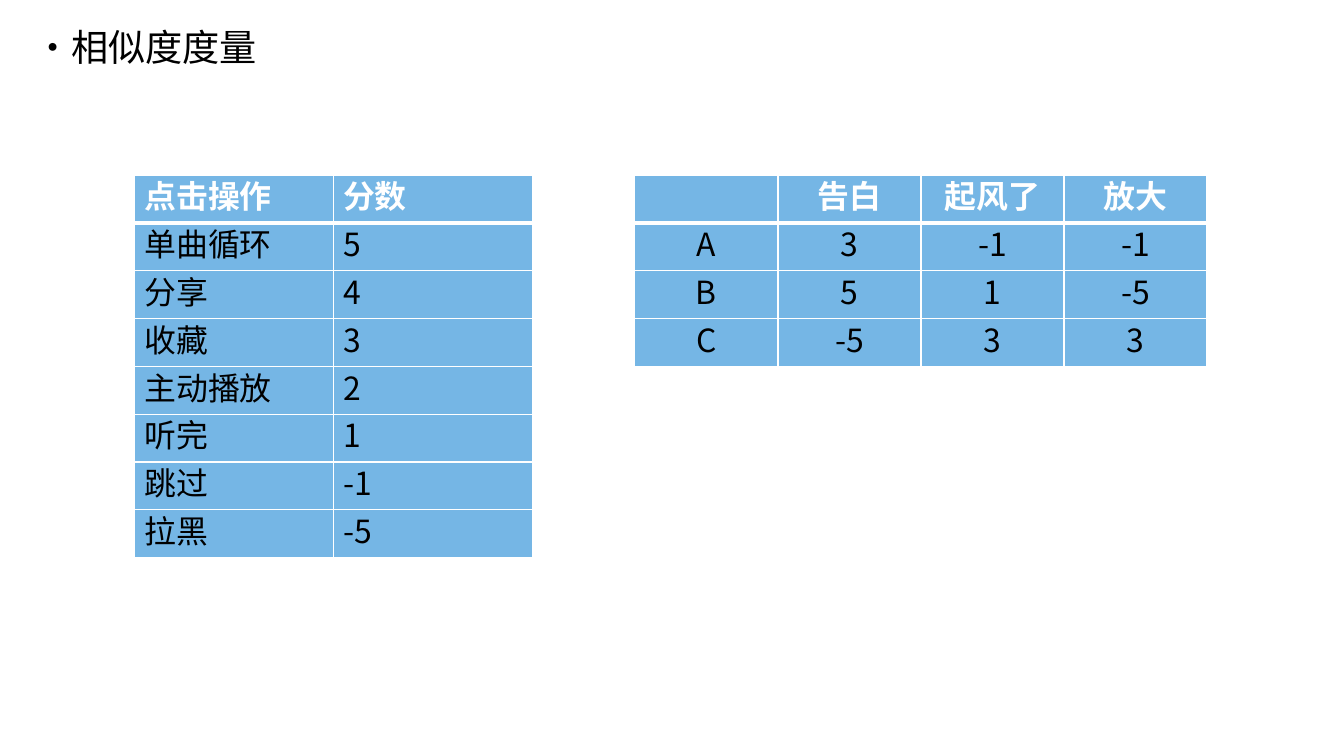
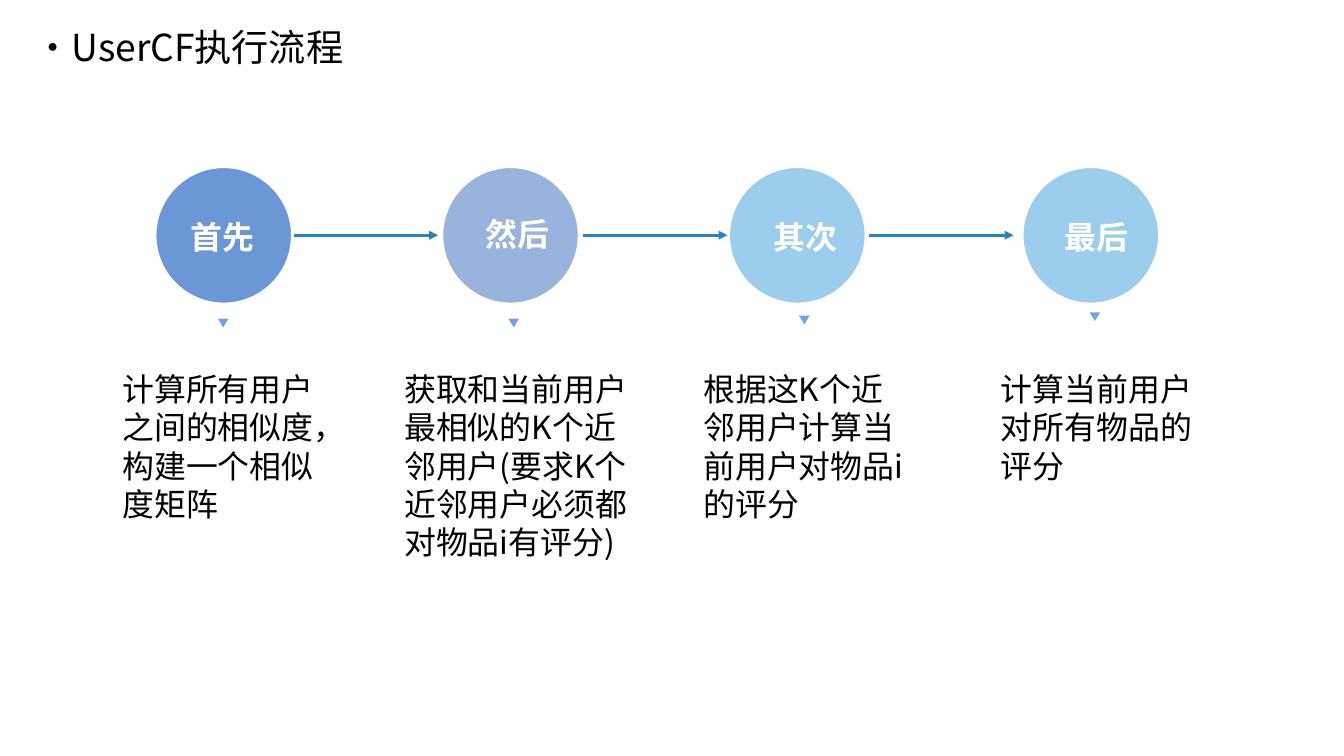
from lxml.etree import SubElement
from pptx import Presentation
from pptx.dml.color import RGBColor
from pptx.enum.shapes import MSO_CONNECTOR as CONN, MSO_SHAPE as SHAPE
from pptx.enum.text import MSO_ANCHOR as ANCHOR, MSO_AUTO_SIZE as FIT, PP_ALIGN as ALIGN
from pptx.oxml.ns import qn
from pptx.util import Cm, Pt

COLORS = {
    "text": "000000", "white": "FFFFFF", "cell": "75B6E5",
    "blue": "2F6CC5", "slate": "6E95CE", "sky": "73B8E6",
    "pointer": "74A2E6", "arrow": "2683C6",
}
FONT = "Noto Sans CJK SC"
FRAME = {"word_wrap": True, "auto_size": FIT.NONE, "vertical_anchor": ANCHOR.TOP}
TITLE = {"size": Pt(28), "bold": False}
BODY = {"size": Pt(24), "bold": False}
STRONG = {"size": Pt(24), "bold": True}
TITLE_PITCH, BODY_PITCH = Pt(32), Pt(28.8)


def rgb(name):
    return RGBColor.from_string(COLORS[name])


def apply(obj, values):
    for name, value in values.items():
        setattr(obj, name, value)


def write(tf, text, fmt=BODY, color="text", align=ALIGN.LEFT, pitch=BODY_PITCH):
    p = tf.paragraphs[0]
    apply(p, {"alignment": align, "line_spacing": pitch, "space_before": Pt(0)})
    if not text:
        return
    r = p.add_run()
    r.text = text
    apply(r.font, {**fmt, "name": FONT})
    r.font.color.rgb = rgb(color)
    SubElement(r.font._element, qn("a:ea"), typeface=FONT)


def add_text(s, box, text, **style):
    tf = s.shapes.add_textbox(*map(Cm, box)).text_frame
    apply(tf, FRAME)
    write(tf, text, **style)


def add_solid(s, kind, box, color):
    sp = s.shapes.add_shape(kind, *map(Cm, box))
    sp.shadow.inherit = False
    sp.fill.solid()
    sp.fill.fore_color.rgb = rgb(color)
    sp.line.fill.background()
    return sp


def add_titled_slide(prs, title):
    s = prs.slides.add_slide(prs.slide_layouts[5])
    sp = s.shapes.title
    apply(sp, dict(zip(("left", "top", "width", "height"), map(Cm, (0.66, 0.58, 9.04, 1.17)))))
    apply(sp.text_frame, FRAME)
    write(sp.text_frame, title, TITLE, pitch=TITLE_PITCH)
    return s


# Tables
def set_borders(cell, widths):
    tcPr = cell._tc.get_or_add_tcPr()
    for side, width in zip("LRTB", widths):
        ln = SubElement(tcPr, qn(f"a:ln{side}"), w=str(Pt(width)))
        fill = SubElement(ln, qn("a:solidFill"))
        SubElement(fill, qn("a:srgbClr"), val=COLORS["white"])


def add_grid(s, left, top, col_width, row_height, rows, align):
    n_rows, n_cols = len(rows), len(rows[0])
    size = Cm(col_width * n_cols), Cm(row_height * n_rows)
    table = s.shapes.add_table(n_rows, n_cols, Cm(left), Cm(top), *size).table
    for col in table.columns:
        col.width = Cm(col_width)
    for i, row in enumerate(rows):
        table.rows[i].height = Cm(row_height)
        fmt, color = (STRONG, "white") if i == 0 else (BODY, "text")
        for j, text in enumerate(row):
            cell = table.cell(i, j)
            set_borders(cell, (1, 1, 3 if i == 1 else 1, 3 if i == 0 else 1))
            cell.fill.solid()
            cell.fill.fore_color.rgb = rgb("cell")
            write(cell.text_frame, text, fmt, color, align)


def similarity_slide(prs):
    s = add_titled_slide(prs, "·相似度度量")
    ratings = [("", "告白", "起风了", "放大"), ("A", "3", "-1", "-1"),
               ("B", "5", "1", "-5"), ("C", "-5", "3", "3")]
    scores = [("点击操作", "分数"), ("单曲循环", "5"), ("分享", "4"), ("收藏", "3"),
              ("主动播放", "2"), ("听完", "1"), ("跳过", "-1"), ("拉黑", "-5")]
    add_grid(s, 16.87, 4.65, 3.8, 1.27, ratings, ALIGN.CENTER)
    add_grid(s, 3.58, 4.65, 5.28, 1.27, scores, ALIGN.LEFT)


# Process flow
def add_step(s, left, top, color, label, label_at, pointer_at, note, note_at, note_width):
    """Place one step; the offsets are measured from its circle's corner."""
    circle = add_solid(s, SHAPE.OVAL, (left, top, 3.61, 3.61), color)
    clr = circle.fill._xPr.find(".//" + qn("a:srgbClr"))
    SubElement(clr, qn("a:alpha"), val="70000")
    circle.line.color.rgb = rgb("white")
    circle.line.width = Pt(1)
    dx, dy = label_at
    add_text(s, (left + dx, top + dy, 2.44, 1.27), label,
             fmt=STRONG, color="white", align=ALIGN.CENTER)
    dx, dy = pointer_at
    pointer = add_solid(s, SHAPE.ISOSCELES_TRIANGLE, (left + dx, top + dy, 0.28, 0.23), "pointer")
    pointer.rotation = 180
    add_text(s, (left + note_at, top + 5.25, note_width, 5.4), note)


def add_arrow(s, left, y, length):
    line = s.shapes.add_connector(CONN.STRAIGHT, *map(Cm, (left, y, left + length, y)))
    line.line.color.rgb = rgb("arrow")
    line.line.width = Pt(2.25)
    SubElement(line.line._get_or_add_ln(), qn("a:tailEnd"), type="triangle")
    SubElement(line._element.spPr, qn("a:effectLst"))


def process_slide(prs):
    s = add_titled_slide(prs, "·UserCF执行流程")
    steps = [
        (4.14, "blue", "首先", (0.56, 1.2), (1.65, 4.02),
         "计算所有用户之间的相似度，构建一个相似度矩阵", -1.14, 5.87),
        (11.76, "slate", "然后", (0.77, 1.13), (1.75, 4.02),
         "获取和当前用户最相似的K个近邻用户(要求K个近邻用户必须都对物品i有评分)", -1.27, 6.63),
        (19.38, "sky", "其次", (0.79, 1.2), (1.85, 3.94),
         "根据这K个近邻用户计算当前用户对物品i的评分", -0.94, 5.87),
        (27.18, "sky", "最后", (0.73, 1.2), (1.77, 3.85),
         "计算当前用户对所有物品的评分", -0.84, 5.87),
    ]
    for left, *parts in steps:
        add_step(s, left, 4.45, *parts)
    for left in (7.8, 15.49, 23.09):
        add_arrow(s, left, 6.25, 3.84)


def main():
    prs = Presentation()
    apply(prs, {"slide_width": Cm(35.71), "slide_height": Cm(20.09)})
    similarity_slide(prs)
    process_slide(prs)
    prs.save("out.pptx")


if __name__ == "__main__":
    main()
